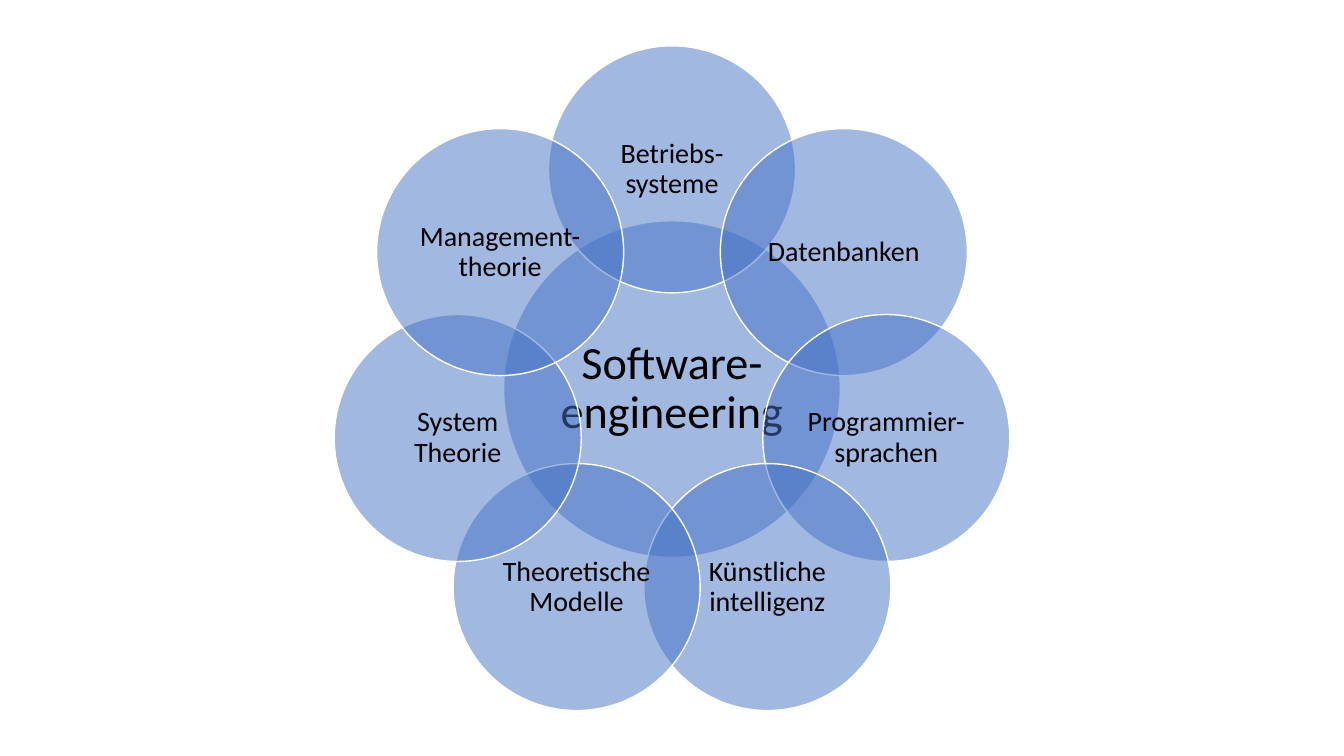
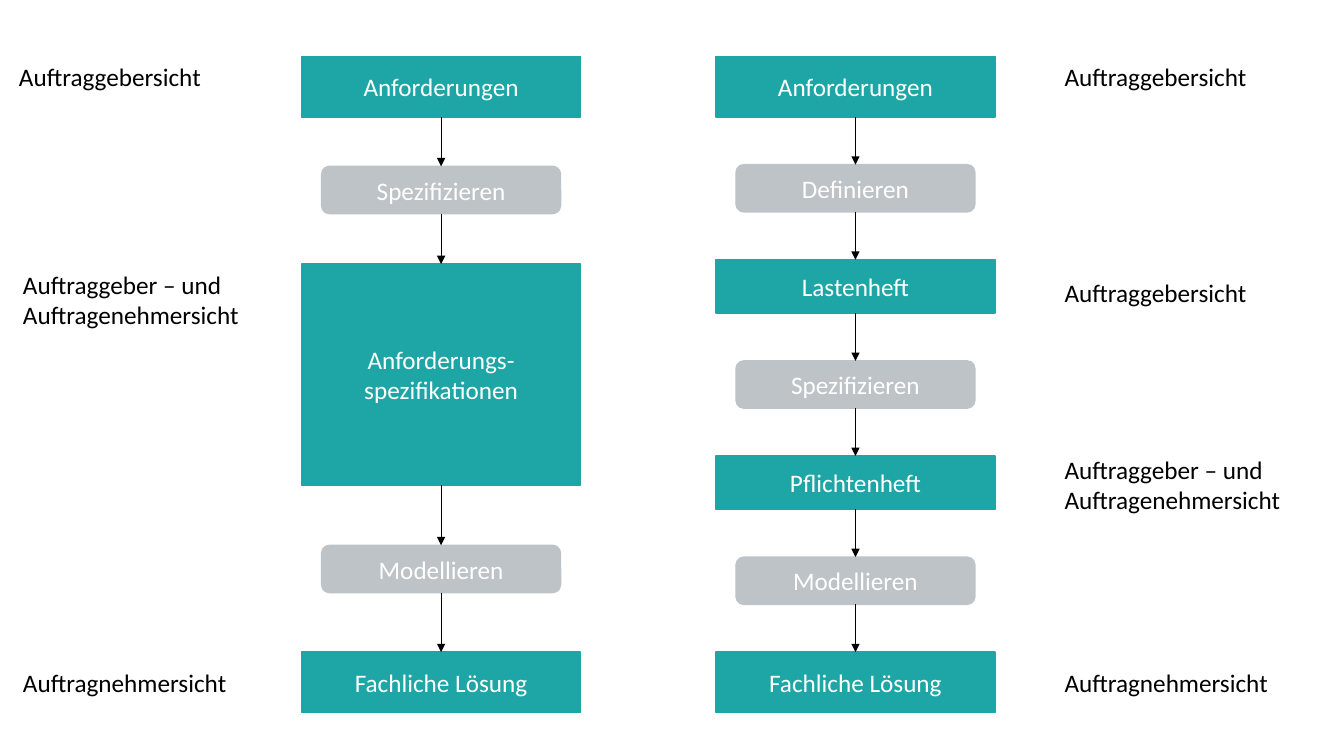
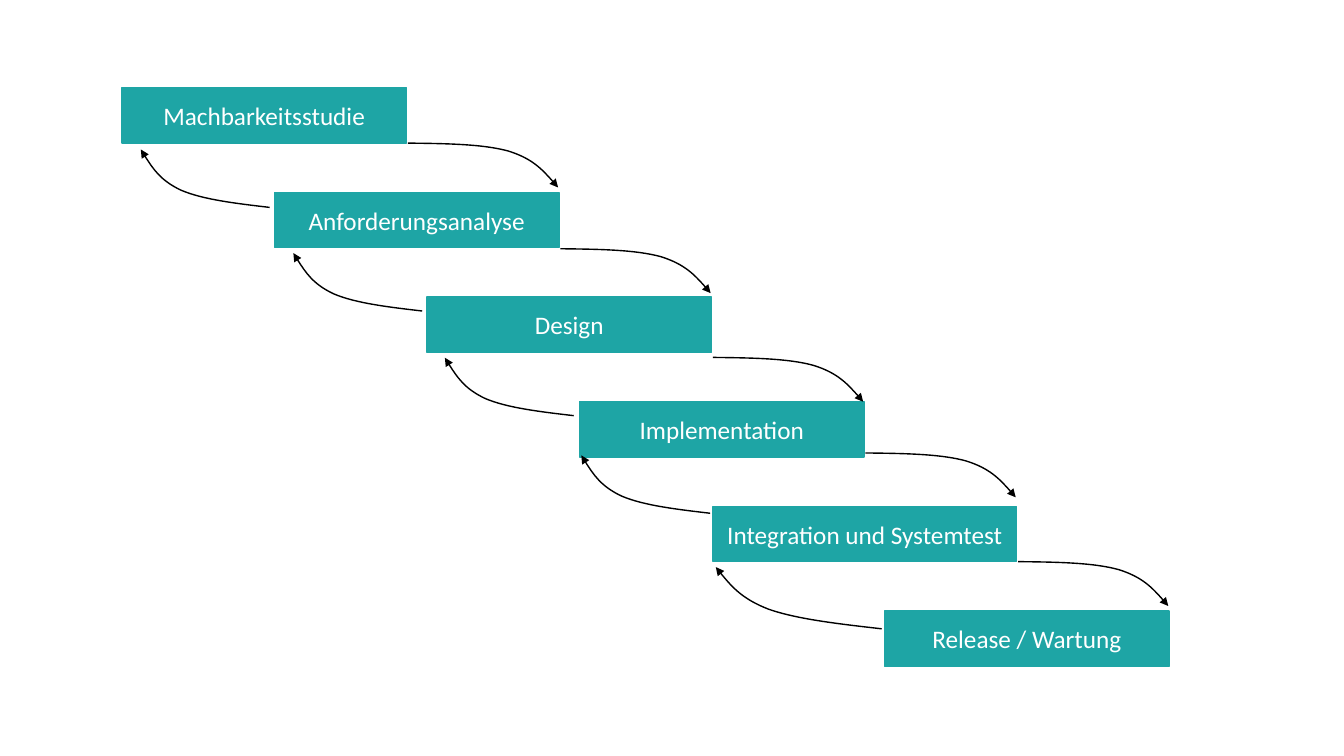
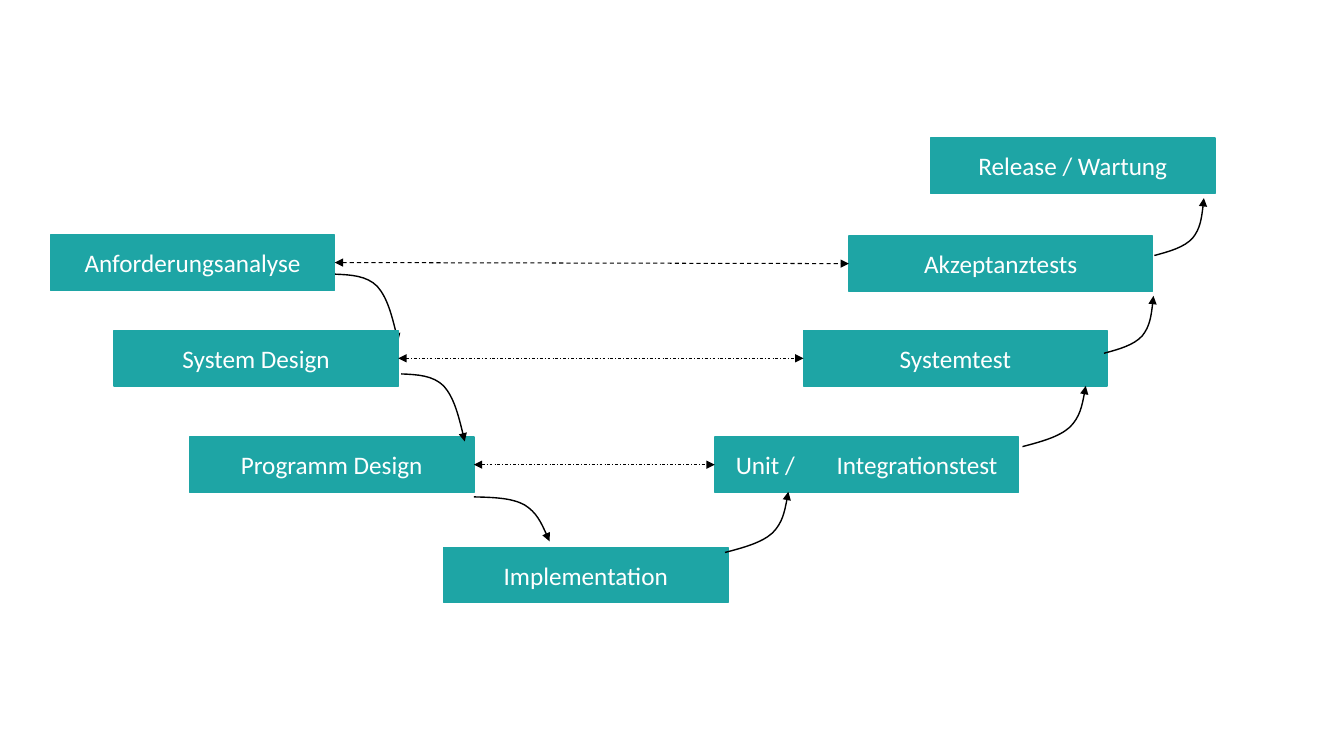
import math
from dataclasses import dataclass

from lxml import etree
from pptx import Presentation
from pptx import util as u
from pptx.dml.color import RGBColor
from pptx.enum import dml, shapes, text
from pptx.oxml.ns import qn


@dataclass(frozen=True)
class Theme:
    font: str = "Calibri"
    teal: str = "1EA5A5"
    grey: str = "BEC3C8"
    blue: str = "4472C4"
    white: str = "FFFFFF"
    black: str = "000000"
    body: float = 18
    petal: float = 20
    hub: float = 33
    hairline: float = 0.5
    dashed: float = 0.75
    outline: float = 1


@dataclass(frozen=True)
class Box:
    x: float
    y: float
    w: float
    h: float

    @property
    def right(self):
        return self.x + self.w

    @property
    def bottom(self):
        return self.y + self.h

    def at(self, x, y, w, h):
        return Box(self.x + x, self.y + y, w, h)

    def emu(self):
        return [cells(v) for v in (self.x, self.y, self.w, self.h)]


THEME = Theme()
CELL = 0.1
COLUMNS, ROWS = 133.3, 75
PAGE = Box(0, 0, COLUMNS, ROWS)
KIND = shapes.MSO_SHAPE
TOP, LEFT, BOTTOM, RIGHT = range(4)
BEND = [(0.25, 0.01), (0.5, 0.02), (0.67, 0.18), (0.83, 0.35), (0.92, 0.68), (1, 1)]
BACK_TURN, RISE_TURN = 185.9, 346.6
STAGE_W, TEST_W, STAGE_H = 28.2, 30.1, 5.5


def cells(count):
    return u.Inches(count * CELL)


def apply(target, values):
    for name, value in values.items():
        setattr(target, name, value)


def write(shape, words, size, color, align=text.PP_ALIGN.CENTER,
          anchor=text.MSO_ANCHOR.MIDDLE, spacing=1.0, inset=None):
    frame = shape.text_frame
    apply(frame, {"word_wrap": True, "vertical_anchor": anchor})
    if inset is not None:
        sides = ("left", "top", "right", "bottom")
        apply(frame, {f"margin_{side}": cells(inset) for side in sides})
    para = frame.paragraphs[0]
    apply(para, {"alignment": align, "line_spacing": spacing})
    span = para.add_run()
    span.text = words
    apply(span.font, {"name": THEME.font, "size": u.Pt(size)})
    span.font.color.rgb = RGBColor.from_string(color)


def stroke(shape, color, width, ends=(), dash=None):
    shape.line.color.rgb = RGBColor.from_string(color)
    apply(shape.line, {"width": u.Pt(width), "dash_style": dash})
    outline = shape.line._get_or_add_ln()
    for end in ends:
        etree.SubElement(outline, qn(f"a:{end}"), type="triangle")


def add_block(page, box, kind, fill, line):
    shape = page.shapes.add_shape(kind, *box.emu())
    shape.shadow.inherit = False
    shape.fill.solid()
    shape.fill.fore_color.rgb = RGBColor.from_string(fill)
    stroke(shape, line, THEME.outline)
    return shape


def add_stage(page, box, words, kind=KIND.RECTANGLE, fill=THEME.teal):
    shape = add_block(page, box, kind, fill, fill)
    write(shape, words, THEME.body, THEME.white)
    return shape


def add_link(page, start, start_site, finish, finish_site, ends, width, dash=None):
    link = page.shapes.add_connector(shapes.MSO_CONNECTOR.STRAIGHT, 0, 0, 0, 0)
    link.begin_connect(start, start_site)
    link.end_connect(finish, finish_site)
    stroke(link, THEME.black, width, ends, dash)
    etree.SubElement(link._element.spPr, qn("a:effectLst"))


def add_curve(page, box, turn=0, rising=False):
    points = [(x, 1 - y if rising else y) for x, y in [(0, 0)] + BEND]
    corners = [(cells(box.x + x * box.w), cells(box.y + y * box.h)) for x, y in points]
    builder = page.shapes.build_freeform(*corners[0])
    builder.add_line_segments(corners[1:], close=False)
    curve = builder.convert_to_shape()
    segments = list(curve._element.iter(qn("a:lnTo")))
    outline = segments[0].getparent()
    for first in range(0, len(segments), 3):
        bezier = etree.SubElement(outline, qn("a:cubicBezTo"))
        for segment in segments[first:first + 3]:
            bezier.append(segment[0])
            outline.remove(segment)
    curve.fill.background()
    curve.shadow.inherit = False
    curve.rotation = turn
    stroke(curve, THEME.black, THEME.outline, ["tailEnd"])


def add_circle(page, x, y, size, words, points, inset):
    box = Box(x - size / 2, y - size / 2, size, size)
    circle = add_block(page, box, KIND.OVAL, THEME.blue, THEME.white)
    color = circle.fill._xPr.find(qn("a:solidFill"))[0]
    etree.SubElement(color, qn("a:alpha"), val="50000")
    write(circle, words, points, THEME.black, spacing=0.9, inset=inset)


def draw_flower(page, box):
    x, y = box.x + box.w / 2, box.y + 38.6
    radius = 21.8
    petals = ["Betriebs-systeme", "Datenbanken", "Programmier-sprachen",
              "Künstliche intelligenz", "Theoretische Modelle",
              "System Theorie", "Management-theorie"]
    add_circle(page, x, y, 33.4, "Software-engineering", THEME.hub, 0.5)
    for index, words in enumerate(petals):
        angle = math.tau * index / len(petals)
        add_circle(page, x + radius * math.sin(angle), y - radius * math.cos(angle),
                   24.5, words, THEME.petal, 0.3)


def draw_flow(page, box, steps, gaps):
    top, previous = 0, None
    for index, (words, height) in enumerate(steps):
        if index % 2:
            area = box.at(2, top, box.w - 4, height)
            shape = add_stage(page, area, words, KIND.ROUNDED_RECTANGLE, THEME.grey)
        else:
            shape = add_stage(page, box.at(0, top, box.w, height), words)
        if previous is not None:
            add_link(page, previous, BOTTOM, shape, TOP, ["tailEnd"], THEME.hairline)
        previous = shape
        top += height + (gaps[index] if index < len(gaps) else 0)


def draw_labels(page, box, labels):
    for words, indent, top, height in labels:
        label = page.shapes.add_textbox(*box.at(indent, top, box.w, height).emu())
        write(label, words, THEME.body, THEME.black,
              text.PP_ALIGN.LEFT, text.MSO_ANCHOR.TOP)


def draw_comparison(page, box):
    client, both, vendor = ("Auftraggebersicht", "Auftraggeber – und Auftragenehmersicht",
                            "Auftragnehmersicht")
    draw_flow(page, box.at(29.9, 5.6, 27.7, 65.1),
              [("Anforderungen", 6), ("Spezifizieren", 4.7),
               ("Anforderungs-spezifikationen", 21.9),
               ("Modellieren", 4.7), ("Fachliche Lösung", 6)],
              [4.9, 5, 6, 5.9])
    steps = [("Anforderungen", 6), ("Definieren", 4.7), ("Lastenheft", 5.3),
             ("Spezifizieren", 4.7), ("Pflichtenheft", 5.3),
             ("Modellieren", 4.7), ("Fachliche Lösung", 6)]
    column = box.at(71, 5.6, 27.7, 65.1)
    spaces = len(steps) - 1
    gap = (column.h - sum(height for _, height in steps)) / spaces
    draw_flow(page, column, steps, [gap] * spaces)
    draw_labels(page, box.at(0.9, 5.6, 24.4, 65.1),
                [(client, 0, 0, 4), (both, 0.4, 20.6, 7.1), (vendor, 0.4, 60.1, 4)])
    draw_labels(page, box.at(104.6, 5.6, 24.4, 65.1),
                [(client, 0, 0, 4), (client, 0, 21.4, 4),
                 (both, 0, 39, 7.1), (vendor, 0, 60.1, 4)])


def draw_waterfall(page, box):
    stages = [("Machbarkeitsstudie", STAGE_W), ("Anforderungsanalyse", STAGE_W),
              ("Design", STAGE_W), ("Implementation", STAGE_W),
              ("Integration und Systemtest", TEST_W), ("Release / Wartung", STAGE_W)]
    step_x, step_y = 15.13, 10.38
    areas = []
    for index, (words, width) in enumerate(stages):
        area = box.at(STAGE_W + step_x * index - width, step_y * index, width, STAGE_H)
        add_stage(page, area, words)
        areas.append(area)
    for area, drop in zip(areas, [0, 0.1, 0.5, -0.4, 0]):
        add_curve(page, Box(area.right + 0.15, area.bottom + drop, 14.9, 4.4))
    returns = [(1.6, 1.3, 13.3), (1.6, 1.2, 13.3), (1.5, 1.2, 13.3),
               (-0.1, 0.5, 13.3), (0, 1.4, 17)]
    for area, (shift, drop, width) in zip(areas, returns):
        add_curve(page, Box(area.x + shift, area.bottom + drop, width, 4.4), BACK_TURN)


def draw_v_model(page, box):
    for x, y, w, h in [(33.2, 27.2, 6.3, 6.7), (39.8, 37.1, 6.3, 6.7),
                       (47, 49.3, 7.5, 4.4)][:1]:
        add_curve(page, box.at(x, y, w, h))
    stages = [("Anforderungsanalyse", 5, 23.3, STAGE_W), ("System Design", 11.3, 32.8, STAGE_W),
              ("Programm Design", 18.8, 43.35, STAGE_W), ("Implementation", 44, 54.3, STAGE_W),
              ("Unit / \tIntegrationstest", 70.9, 43.35, TEST_W),
              ("Systemtest", 79.7, 32.8, TEST_W), ("Akzeptanztests", 84.2, 23.4, TEST_W),
              ("Release / Wartung", 92.3, 13.7, STAGE_W)]
    placed = [add_stage(page, box.at(x, y, width, STAGE_H), words)
              for words, x, y, width in stages]
    for x, y, w, h in [(39.8, 37.1, 6.3, 6.7), (47, 49.3, 7.5, 4.4)]:
        add_curve(page, box.at(x, y, w, h))
    for x, y, w in [(71.3, 49.6, 7.5), (100.8, 39.1, 7.5),
                    (108.9, 30, 6.1), (113.9, 20.3, 6.1)]:
        add_curve(page, box.at(x, y, w, 4.4), RISE_TURN, rising=True)
    dashes = [(THEME.dashed, dml.MSO_LINE.DASH)] + [(THEME.hairline, dml.MSO_LINE.DASH_DOT)] * 2
    for design, test, (width, dash) in zip(placed, placed[6:3:-1], dashes):
        add_link(page, design, RIGHT, test, LEFT, ["headEnd", "tailEnd"], width, dash)


def main():
    deck = Presentation()
    apply(deck, {"slide_width": cells(COLUMNS), "slide_height": cells(ROWS)})
    drawings = [(draw_flower, PAGE), (draw_comparison, PAGE),
                (draw_waterfall, PAGE.at(12.1, 8.7, 104, 57.4)), (draw_v_model, PAGE)]
    for draw, box in drawings:
        draw(deck.slides.add_slide(deck.slide_layouts[6]), box)
    deck.save("out.pptx")


if __name__ == "__main__":
    main()
